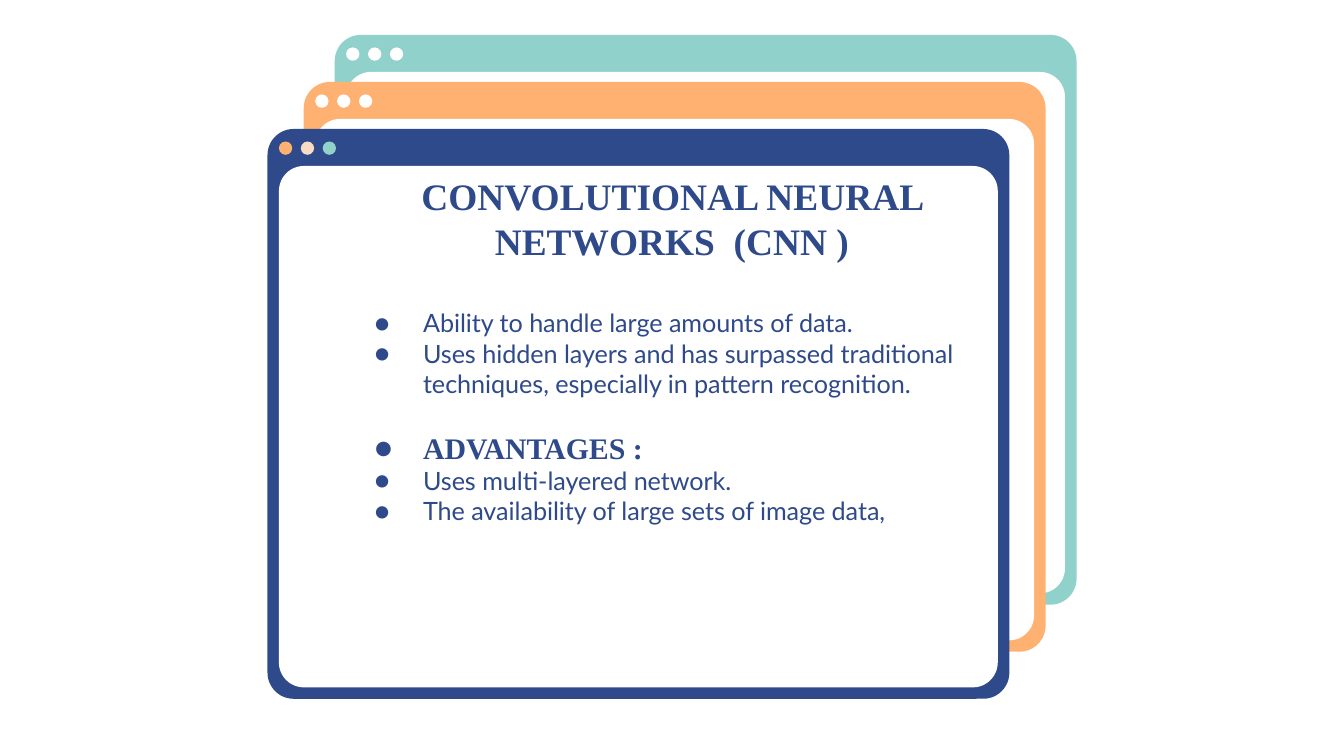
from pptx import Presentation
from pptx.dml.color import RGBColor
from pptx.enum.shapes import MSO_SHAPE as Shape
from pptx.enum.text import MSO_ANCHOR as Anchor, PP_ALIGN as Align
from pptx.oxml.ns import qn
from pptx.util import Inches, Pt
from lxml.etree import SubElement

NAVY, ORANGE, TEAL, PEACH, WHITE = "2F4A8A", "FFB172", "90D1CB", "F8DBC4", "FFFFFF"

# Windows from back to front: left, top, frame colour, button colours
WINDOWS = [
    (2.49, 0.26, TEAL, [WHITE] * 3),
    (2.26, 0.61, ORANGE, [WHITE] * 3),
    (1.99, 0.96, NAVY, [ORANGE, PEACH, TEAL]),
]
WINDOW_SIZE = (5.52, 4.24)

TITLE_STYLE = dict(name="Times New Roman", size=Pt(20), bold=True)
HEADING_STYLE = dict(name="Times New Roman", size=Pt(16), bold=True)
BODY_STYLE = dict(name="Lato", size=Pt(13.5), bold=False)

# Bullets: text, style, space before in points
BULLETS = [
    ("Ability to handle large amounts of data.", BODY_STYLE, 24),
    ("Uses hidden layers and has surpassed traditional techniques, "
     "especially in pattern recognition.", BODY_STYLE, 0),
    ("ADVANTAGES :", HEADING_STYLE, 16.5),
    ("Uses multi-layered network.", BODY_STYLE, 0),
    ("The availability of large sets of image data,", BODY_STYLE, 0),
]


def color(hex_code):
    return RGBColor.from_string(hex_code)


def add_filled(shapes, kind, box, fill, corner=None):
    shape = shapes.add_shape(kind, *map(Inches, box))
    shape.shadow.inherit = False
    shape.fill.solid()
    shape.fill.fore_color.rgb = color(fill)
    shape.line.fill.background()
    if corner is not None:
        shape.adjustments[0] = corner


def draw_window(slide, box, frame_color, button_colors):
    left, top, width, height = box
    shapes = slide.shapes.add_group_shape().shapes
    margin = width * 0.0155
    # Frame and page
    add_filled(shapes, Shape.ROUNDED_RECTANGLE, box, frame_color, 0.046)
    page = (left + margin, top + height * 0.065, width - 2 * margin, height * 0.915)
    add_filled(shapes, Shape.ROUNDED_RECTANGLE, page, WHITE, 0.048)
    # Buttons in the title bar
    button, pitch = width * 0.018, width * 0.0295
    for i, fill in enumerate(button_colors):
        spot = (left + margin + i * pitch, top + height * 0.022, button, button)
        add_filled(shapes, Shape.OVAL, spot, fill)


def write(paragraph, text, style):
    run = paragraph.add_run()
    run.text = text
    run.font.color.rgb = color(NAVY)
    for key, value in style.items():
        setattr(run.font, key, value)


def add_bullet(paragraph):
    props = paragraph._p.get_or_add_pPr()
    props.set("marL", str(Inches(0.5)))
    props.set("indent", str(Inches(-0.36)))
    bullet_color = SubElement(props, qn("a:buClr"))
    SubElement(bullet_color, qn("a:srgbClr"), val=NAVY)
    SubElement(props, qn("a:buFont"), typeface="Lato")
    SubElement(props, qn("a:buChar"), char="●")


def draw_text(slide, box):
    frame = slide.shapes.add_textbox(*map(Inches, box)).text_frame
    frame.word_wrap = True
    frame.vertical_anchor = Anchor.TOP
    for side in ("left", "top", "right", "bottom"):
        setattr(frame, f"margin_{side}", Inches(0.1))
    # Title
    title = frame.paragraphs[0]
    title.alignment = Align.CENTER
    title.line_spacing = Pt(24)
    write(title, "CONVOLUTIONAL NEURAL NETWORKS  (CNN )", TITLE_STYLE)
    # Bulleted points
    for text, style, gap in BULLETS:
        point = frame.add_paragraph()
        point.alignment = Align.LEFT
        point.space_before = Pt(gap)
        add_bullet(point)
        write(point, text, style)


def main():
    deck = Presentation()
    # Widescreen, 16:9
    deck.slide_width = Inches(10)
    deck.slide_height = deck.slide_width * 9 // 16
    slide = deck.slides.add_slide(deck.slide_layouts[6])
    for left, top, frame_color, button_colors in WINDOWS:
        draw_window(slide, (left, top, *WINDOW_SIZE), frame_color, button_colors)
    draw_text(slide, (2.55, 1.19, 4.9, 4.8))
    deck.save("out.pptx")


if __name__ == "__main__":
    main()
